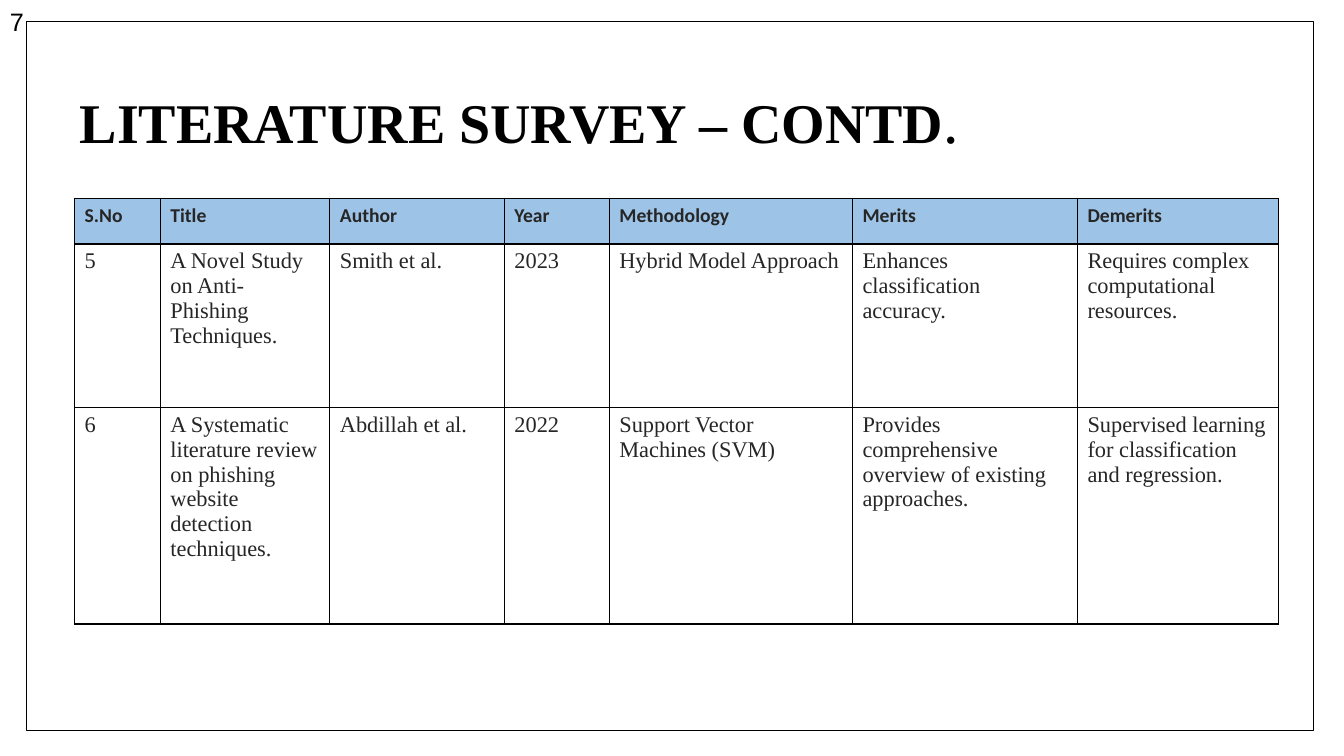
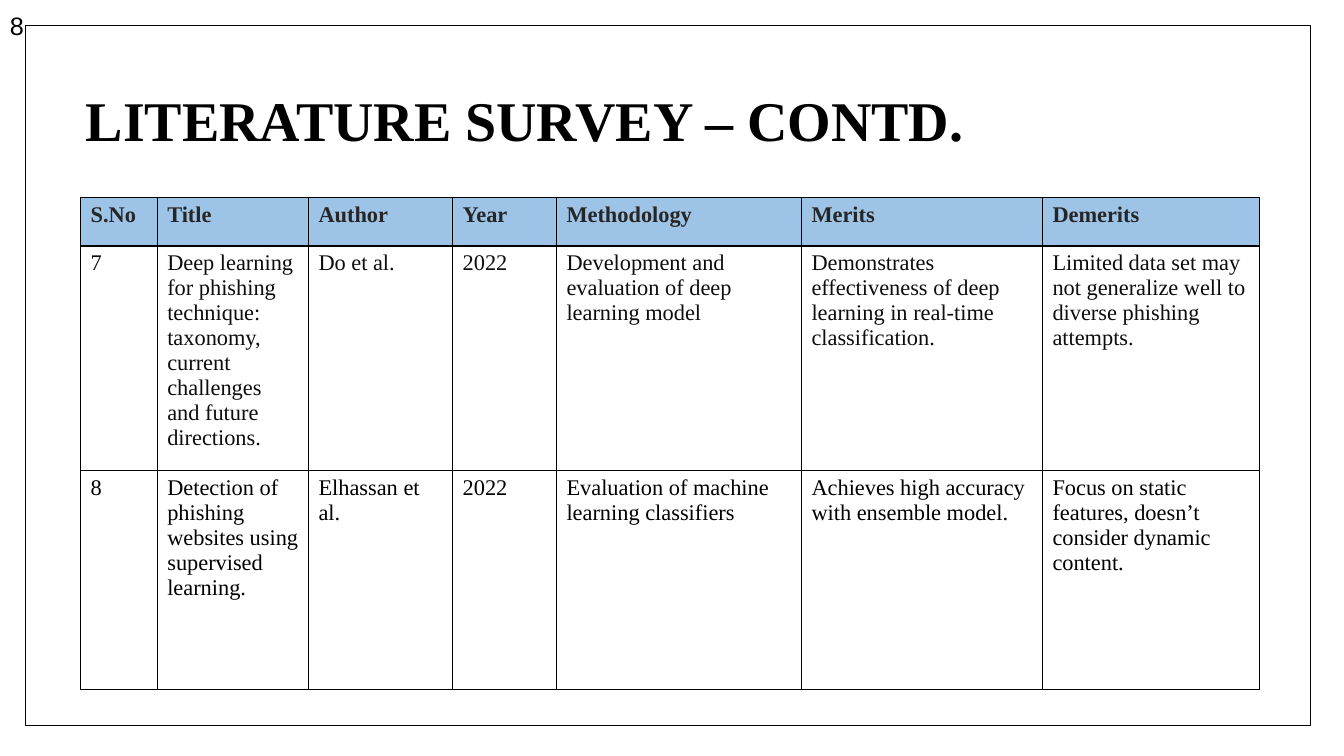
from dataclasses import dataclass

from lxml import etree
from pptx import Presentation
from pptx.dml.color import RGBColor
from pptx.enum.shapes import MSO_SHAPE
from pptx.enum.text import MSO_ANCHOR, MSO_AUTO_SIZE, PP_ALIGN
from pptx.oxml.ns import qn
from pptx.util import Inches, Pt

RECTANGLE = MSO_SHAPE.RECTANGLE
MIDDLE = MSO_ANCHOR.MIDDLE
FIXED_SIZE = MSO_AUTO_SIZE.NONE
LEFT = PP_ALIGN.LEFT

SLIDE_WIDTH = Inches(13.33)
SLIDE_HEIGHT = Inches(7.5)
TITLE_ONLY = 5
BLACK = "000000"
CHARCOAL = "262626"
NEAR_BLACK = "0D0D0D"
WHITE = "FFFFFF"
HEADER_BLUE = "9DC3E6"
SERIF = "Times New Roman"
SANS = "Calibri"
NUMBER_FONT = "Arial"
TITLE = "LITERATURE SURVEY – CONTD"
HEADINGS = ["S.No", "Title", "Author", "Year", "Methodology", "Merits", "Demerits"]


@dataclass
class Survey:
    number: str
    number_top: float
    title_left: float
    stop_size: int
    stop_bold: bool
    frame: tuple
    table: tuple
    column_weights: list
    row_heights: list
    header_font: str
    header_size: int
    row_colors: list
    entries: list


SURVEYS = [
    Survey(
        number="7", number_top=0.13, title_left=5.18, stop_size=44, stop_bold=False,
        frame=(1.95, 2.8, 95.8, 93.87), table=(5.55, 26.27, 89.57),
        column_weights=[0.85, 1.68, 1.73, 1.04, 2.41, 2.23, 1.99],
        row_heights=[6, 21.6, 28.67],
        header_font=SANS, header_size=14, row_colors=[CHARCOAL, CHARCOAL],
        entries=[
            ["5", "A Novel Study on Anti-Phishing Techniques.", "Smith et al.", "2023",
             "Hybrid Model Approach", "Enhances classification accuracy.",
             "Requires complex computational resources."],
            ["6", "A Systematic literature review on phishing website detection techniques.",
             "Abdillah et al.", "2022", "Support Vector Machines (SVM)",
             "Provides comprehensive overview of existing approaches.",
             "Supervised learning for classification and regression."],
        ],
    ),
    Survey(
        number="8", number_top=0.67, title_left=5.63, stop_size=40, stop_bold=True,
        frame=(1.88, 3.33, 95.65, 92.67), table=(6, 26.13, 87.7),
        column_weights=[0.76, 1.5, 1.43, 1.03, 2.43, 2.39, 2.15],
        row_heights=[6.4, 29.73, 28.93],
        header_font=SERIF, header_size=16, row_colors=[NEAR_BLACK, BLACK],
        entries=[
            ["7", "Deep learning for phishing technique: taxonomy, current challenges "
             "and future directions.", "Do et al.", "2022",
             "Development and evaluation of deep learning model",
             "Demonstrates effectiveness of deep learning in real-time classification.",
             "Limited data set may not generalize well to diverse phishing attempts."],
            ["8", "Detection of phishing websites using supervised learning.",
             "Elhassan et al.", "2022", "Evaluation of machine learning classifiers",
             "Achieves high accuracy with ensemble model.",
             "Focus on static features, doesn’t consider dynamic content."],
        ],
    ),
]


def color(value):
    return RGBColor.from_string(value)


def across(percent):
    return round(SLIDE_WIDTH * percent / 100)


def down(percent):
    return round(SLIDE_HEIGHT * percent / 100)


def area(left, top, width, height):
    return across(left), down(top), across(width), down(height)


def style(span, font, size, ink, bold=False):
    span.font.name = font
    span.font.size = Pt(size)
    span.font.bold = bold
    span.font.color.rgb = color(ink)


def add_title(page, survey):
    box = page.shapes.title
    box.left, box.top, box.width, box.height = area(survey.title_left, 6.67, 86.27, 19.33)
    frame = box.text_frame
    frame.auto_size = FIXED_SIZE
    frame.vertical_anchor = MIDDLE
    frame.text = TITLE
    para = frame.paragraphs[0]
    para.alignment = LEFT
    para.line_spacing = 0.9
    style(para.runs[0], SERIF, 40, BLACK, True)
    stop = para.add_run()
    stop.text = "."
    style(stop, SERIF, survey.stop_size, BLACK, survey.stop_bold)


def add_borders(cell):
    properties = cell._tc.get_or_add_tcPr()
    for side in ("a:lnL", "a:lnR", "a:lnT", "a:lnB"):
        line = etree.SubElement(properties, qn(side), w=str(Pt(0.96)))
        fill = etree.SubElement(line, qn("a:solidFill"))
        etree.SubElement(fill, qn("a:srgbClr"), val=BLACK)


def fill_cell(cell, text, background, font, size, ink, bold):
    add_borders(cell)
    cell.fill.solid()
    cell.fill.fore_color.rgb = color(background)
    cell.text_frame.text = text
    style(cell.text_frame.paragraphs[0].runs[0], font, size, ink, bold)


def add_survey_table(page, survey):
    left, top, width = survey.table
    place = area(left, top, width, sum(survey.row_heights))
    table = page.shapes.add_table(len(survey.row_heights), len(HEADINGS), *place).table
    table.first_row = table.horz_banding = False
    total = sum(survey.column_weights)
    for column, weight in zip(table.columns, survey.column_weights):
        column.width = across(width * weight / total)
    for row, height in zip(table.rows, survey.row_heights):
        row.height = down(height)
    header_look = (HEADER_BLUE, survey.header_font, survey.header_size, CHARCOAL, True)
    looks = [header_look] + [(WHITE, SERIF, 16, ink, False) for ink in survey.row_colors]
    for row, texts, look in zip(table.rows, [HEADINGS] + survey.entries, looks):
        for cell, text in zip(row.cells, texts):
            fill_cell(cell, text, *look)


def add_frame(page, place):
    frame = page.shapes.add_shape(RECTANGLE, *area(*place))
    frame.shadow.inherit = False
    frame.fill.background()
    frame.line.color.rgb = color(BLACK)
    frame.line.width = Pt(0.75)


def add_page_number(page, number, top):
    box = page.shapes.add_textbox(*area(0, top, 7.5, 5.33))
    box.text_frame.word_wrap = True
    box.text_frame.text = number
    style(box.text_frame.paragraphs[0].runs[0], NUMBER_FONT, 18, BLACK)


def add_survey_page(deck, survey):
    page = deck.slides.add_slide(deck.slide_layouts[TITLE_ONLY])
    add_title(page, survey)
    add_survey_table(page, survey)
    add_frame(page, survey.frame)
    add_page_number(page, survey.number, survey.number_top)


def main():
    deck = Presentation()
    deck.slide_width = SLIDE_WIDTH
    deck.slide_height = SLIDE_HEIGHT
    for survey in SURVEYS:
        add_survey_page(deck, survey)
    deck.save("out.pptx")


if __name__ == "__main__":
    main()
